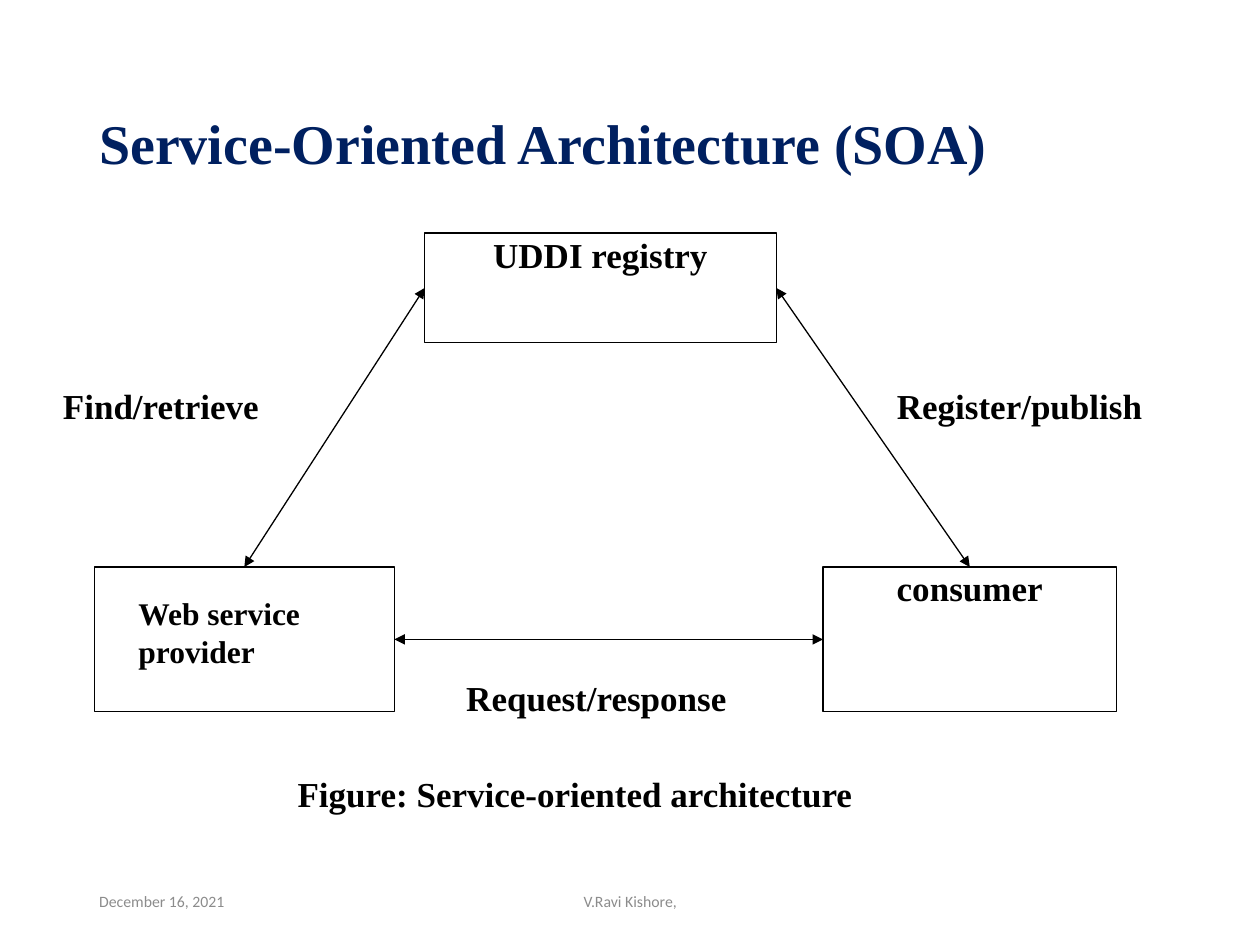
from dataclasses import dataclass

from lxml.etree import SubElement
from pptx import Presentation
from pptx.dml.color import RGBColor
from pptx.enum.shapes import MSO_CONNECTOR, MSO_SHAPE
from pptx.enum.text import MSO_ANCHOR, PP_ALIGN
from pptx.oxml.ns import qn
from pptx.util import Cm, Pt


@dataclass(frozen=True)
class Theme:
    """Colours, fonts and sizes of the slide."""
    navy = RGBColor(0x00, 0x20, 0x60)
    black = RGBColor(0, 0, 0)
    white = RGBColor(255, 255, 255)
    grey = RGBColor(0x8C, 0x8C, 0x8C)
    serif = "Times New Roman"
    sans = "Calibri"
    title = Pt(32)
    label = Pt(20)
    provider = Pt(18)
    footer = Pt(9)
    line = Pt(0.75)


theme = Theme()
LEFT, CENTER = PP_ALIGN.LEFT, PP_ALIGN.CENTER
TOP, MIDDLE = MSO_ANCHOR.TOP, MSO_ANCHOR.MIDDLE
SITE_TOP, SITE_LEFT, SITE_RIGHT = 0, 1, 3

# Places are left, top, width, height in centimetres.
NODES = {
    "registry": ("UDDI registry", (8.56, 4.7, 7.09, 2.21)),
    "consumer": ("consumer", (16.59, 11.43, 5.92, 2.92)),
    "provider": ("", (1.9, 11.43, 6.05, 2.92)),
}
ARROWS = [
    ("provider", SITE_RIGHT, "consumer", SITE_LEFT),
    ("provider", SITE_TOP, "registry", SITE_LEFT),
    ("registry", SITE_RIGHT, "consumer", SITE_TOP),
]
LABELS = [
    ("Request/response", (9.4, 13.64, 6.55, 1.24), LEFT),
    ("Find/retrieve", (1.27, 7.75, 4.93, 1.22), LEFT),
    ("Register/publish", (18.08, 7.75, 6.25, 1.22), LEFT),
    ("Figure: Service-oriented architecture", (3.53, 15.57, 16.13, 1.24), CENTER),
]
TEXTS = [
    ("Service-Oriented Architecture (SOA)", (1.75, 1.02, 21.9, 3.68),
     theme.serif, theme.title, theme.navy, True, LEFT, MIDDLE),
    ("Web service provider", (2.54, 11.86, 4.01, 1.8),
     theme.serif, theme.provider, theme.black, True, LEFT, TOP),
    ("December 16, 2021", (1.75, 17.65, 5.72, 1.02),
     theme.sans, theme.footer, theme.grey, False, LEFT, MIDDLE),
    ("V.Ravi Kishore,", (8.41, 17.65, 8.59, 1.02),
     theme.sans, theme.footer, theme.grey, False, CENTER, MIDDLE),
]


def write(shape, text, font, size, color, bold, align, anchor):
    """Put one styled paragraph into a shape."""
    frame = shape.text_frame
    frame.word_wrap = True
    frame.vertical_anchor = anchor
    para = frame.paragraphs[0]
    para.text = text
    para.alignment = align
    para.font.name = font
    para.font.size = size
    para.font.color.rgb = color
    para.font.bold = bold


def add_box(page, text, place, align, outlined):
    """Add a white rectangle with bold text and no insets."""
    box = page.shapes.add_shape(MSO_SHAPE.RECTANGLE, *map(Cm, place))
    box.shadow.inherit = False
    box.fill.solid()
    box.fill.fore_color.rgb = theme.white
    if outlined:
        box.line.color.rgb = theme.black
        box.line.width = theme.line
    else:
        box.line.fill.background()
    if text:
        frame = box.text_frame
        frame.margin_left = frame.margin_right = 0
        frame.margin_top = frame.margin_bottom = 0
        write(box, text, theme.serif, theme.label, theme.black, True, align, TOP)
    return box


def add_arrow(page, start, start_site, end, end_site):
    """Join two boxes with a line that has a head at both ends."""
    arrow = page.shapes.add_connector(MSO_CONNECTOR.STRAIGHT, 0, 0, 0, 0)
    arrow.begin_connect(start, start_site)
    arrow.end_connect(end, end_site)
    arrow.line.color.rgb = theme.black
    arrow.line.width = theme.line
    outline = arrow.line._get_or_add_ln()
    for tag in ("a:headEnd", "a:tailEnd"):
        SubElement(outline, qn(tag), type="triangle")
    SubElement(arrow._element.spPr, qn("a:effectLst"))


def build():
    """Build and save the slide."""
    deck = Presentation()
    deck.slide_width, deck.slide_height = Cm(25.4), Cm(19.05)
    page = deck.slides.add_slide(deck.slide_layouts[6])
    nodes = {name: add_box(page, text, place, CENTER, True)
             for name, (text, place) in NODES.items()}
    for text, place, align in LABELS:
        add_box(page, text, place, align, False)
    for start, start_site, end, end_site in ARROWS:
        add_arrow(page, nodes[start], start_site, nodes[end], end_site)
    for text, place, *style in TEXTS:
        write(page.shapes.add_textbox(*map(Cm, place)), text, *style)
    deck.save("out.pptx")


build()
